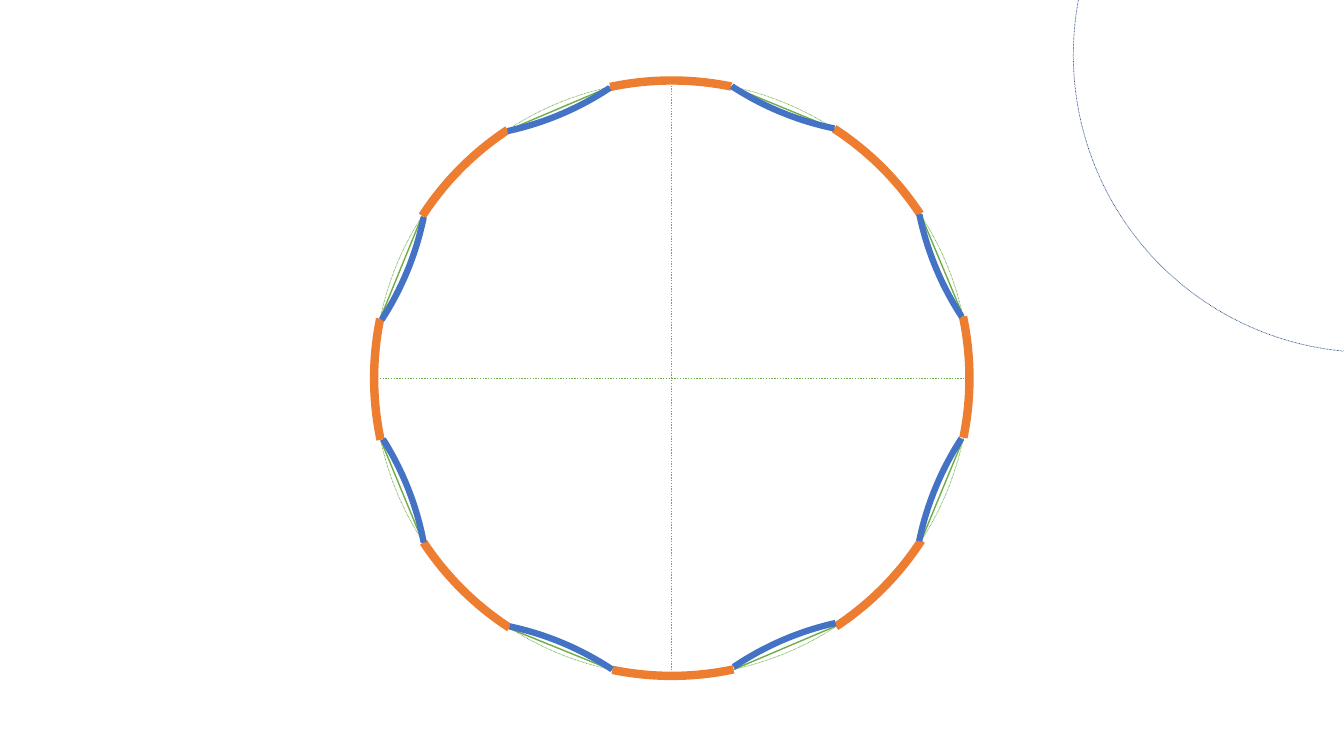
from dataclasses import dataclass

from lxml import etree
from pptx import Presentation
from pptx import util as u
from pptx.dml.color import RGBColor
from pptx.enum import dml, shapes
from pptx.oxml.ns import qn


@dataclass(frozen=True)
class Theme:
    green: str = "70AD47"
    blue: str = "4472C4"
    navy: str = "325491"
    orange: str = "ED7D31"
    hairline: float = 0.5
    thin: float = 1
    thick: float = 4.5
    heavy: float = 6


class Drawing:
    """Draws circles, arcs and lines on one page; lengths are centimetres."""

    def __init__(self, page, theme, radius):
        self.page, self.theme, self.radius = page, theme, radius

    def style_line(self, line, color, width, dotted):
        line.color.rgb = RGBColor.from_string(color)
        line.width = u.Pt(width)
        if dotted:
            line.dash_style = dml.MSO_LINE.ROUND_DOT

    def outline(self, kind, center, color, width, dotted=False):
        left, top = (u.Cm(value - self.radius) for value in center)
        size = u.Cm(2 * self.radius)
        shape = self.page.shapes.add_shape(kind, left, top, size, size)
        shape.shadow.inherit = False
        shape.fill.background()
        self.style_line(shape.line, color, width, dotted)
        return shape

    def circle(self, center, color):
        self.outline(shapes.MSO_SHAPE.OVAL, center, color, self.theme.hairline, dotted=True)

    def arc(self, center, turn, span, color, width):
        shape = self.outline(shapes.MSO_SHAPE.ARC, center, color, width)
        shape.adjustments[0], shape.adjustments[1] = span
        shape.rotation = turn

    def line(self, ends, dotted=False, parent=None):
        holder = parent or self.page
        connector = holder.shapes.add_connector(
            shapes.MSO_CONNECTOR.STRAIGHT, *(u.Cm(value) for value in ends))
        self.style_line(connector.line, self.theme.green, self.theme.thin, dotted)
        etree.SubElement(connector._element.spPr, qn("a:effectLst"))


RADIUS = 7.5
CENTER_X, CENTER_Y = CENTER = (16.93, 9.53)
STRAY_CENTER = (34.55, 1.38)

# Arc start and end, in units of 5/3 degree
OUTER_SPAN = (154.83, 168.92)
INNER_SPAN = (155.84, 168.74)

# Chord ends: x, y, x, y
CHORDS = [
    (12.80, 3.28, 15.39, 2.18), (10.64, 5.44, 9.58, 8.03),
    (10.67, 13.69, 9.60, 11.10), (12.80, 15.82, 15.44, 16.89),
    (21.08, 15.77, 18.49, 16.87), (24.28, 11.05, 23.22, 13.61),
    (23.19, 5.38, 24.28, 7.98), (18.44, 2.18, 21.03, 3.25),
]

# Inward arcs: circle center and turn in degrees
INWARD_ARCS = [
    ((11.28, 23.12), 22.3), ((3.31, 15.07), 68), ((3.33, 3.97), 111.8),
    ((11.21, -4.03), 156.6), ((22.54, -4.11), 201.9), ((30.51, 3.87), 247),
    ((30.51, 15.15), 291.9), ((22.69, 23.02), 336.2),
]


def main():
    deck = Presentation()
    deck.slide_width, deck.slide_height = u.Cm(33.87), u.Cm(19.05)
    page = deck.slides.add_slide(deck.slide_layouts[6])
    theme = Theme()
    drawing = Drawing(page, theme, RADIUS)

    # Guide circles
    drawing.circle(CENTER, theme.green)
    drawing.circle(STRAY_CENTER, theme.navy)

    # Crossed axes
    axes = page.shapes.add_group_shape()
    drawing.line((CENTER_X - RADIUS, CENTER_Y, CENTER_X + RADIUS, CENTER_Y), True, axes)
    drawing.line((CENTER_X, CENTER_Y + RADIUS, CENTER_X, CENTER_Y - RADIUS), True, axes)

    # Chords
    for ends in CHORDS:
        drawing.line(ends)

    # Outer arcs, one every eighth of a turn
    for turn in range(0, 360, 45):
        drawing.arc(CENTER, turn, OUTER_SPAN, theme.orange, theme.heavy)

    # Inward arcs
    for center, turn in INWARD_ARCS:
        drawing.arc(center, turn, INNER_SPAN, theme.blue, theme.thick)

    deck.save("out.pptx")


if __name__ == "__main__":
    main()
